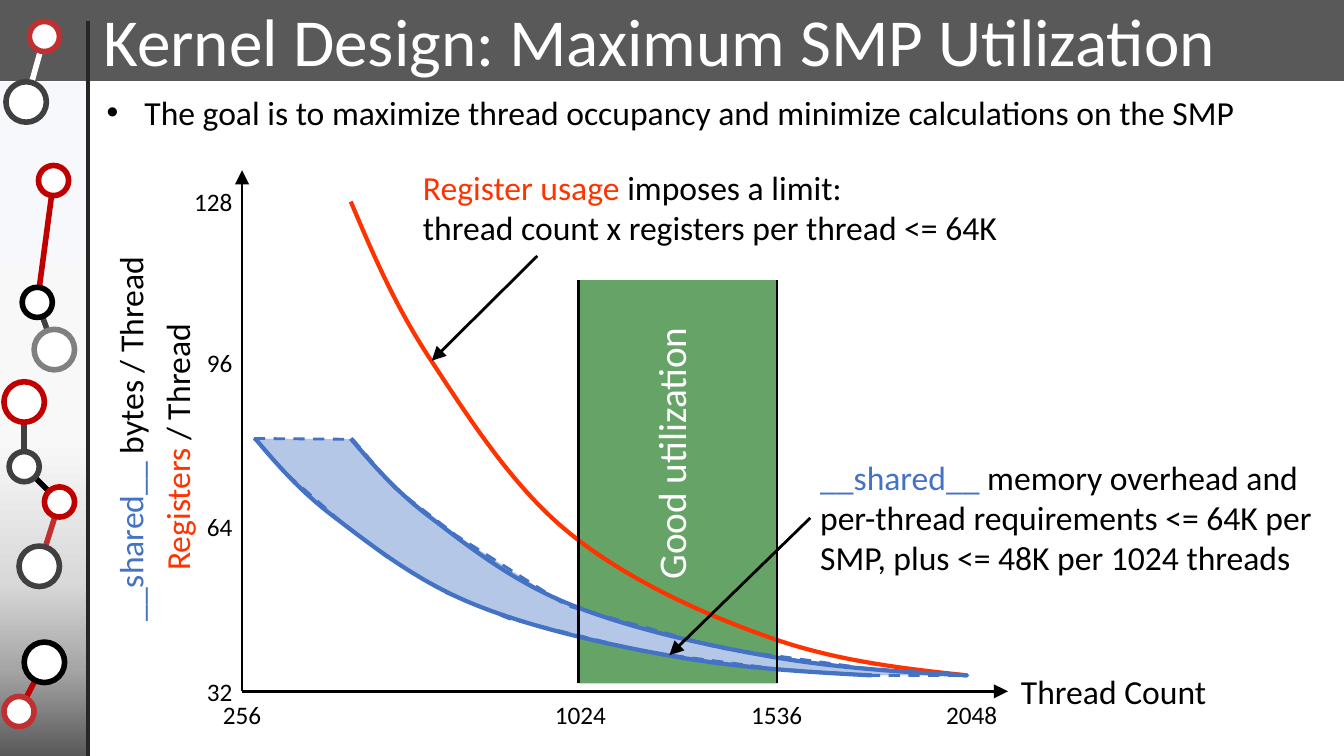
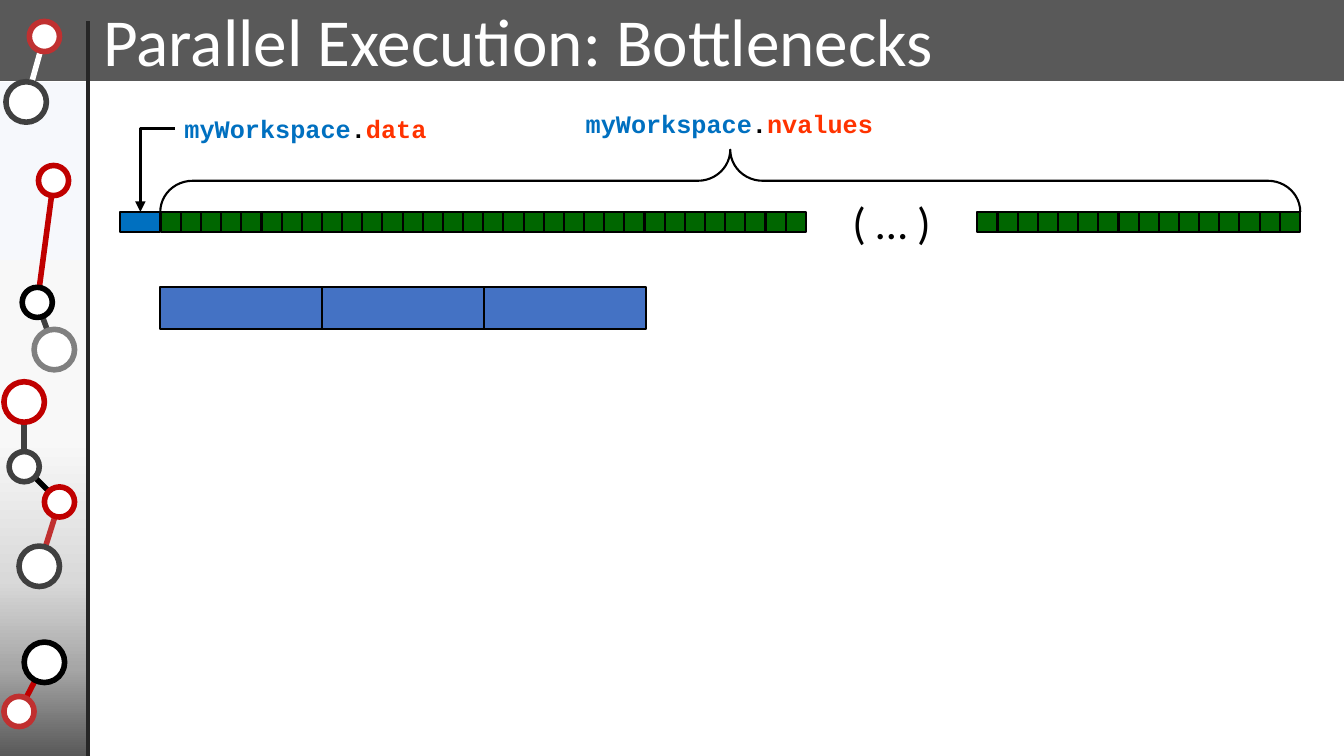
from dataclasses import dataclass

from lxml.etree import SubElement
from pptx import Presentation
from pptx.dml.color import RGBColor
from pptx.enum.dml import MSO_LINE_DASH_STYLE as Dash
from pptx.enum.shapes import MSO_CONNECTOR as Connector, MSO_SHAPE as Preset
from pptx.enum.text import PP_ALIGN as Align
from pptx.oxml.ns import qn
from pptx.util import Cm, Pt

COLORS = {
    "white": "FFFFFF", "black": "000000", "header": "595959", "rule": "262626",
    "crimson": "C00000", "brick": "C03030", "graphite": "404040", "silver": "808080",
    "orange": "FF3300", "blue": "4472C4", "pale_blue": "B4C7E7", "azure": "0070C0",
    "green": "006600",
}
SIDEBAR_STOPS = [(0, "F6F8FC"), (53, "F8F8F8"), (74, "D9D9D9"), (87, "A6A6A6"), (100, "595959")]
SMALL, BIG = 0.76, 1.02
RINGS = [
    (1.12, 0.92, SMALL, "brick"), (0.66, 2.57, BIG, "graphite"),
    (1.35, 4.55, SMALL, "crimson"), (0.94, 7.62, SMALL, "black"),
    (1.37, 8.81, BIG, "silver"), (0.61, 10.13, BIG, "crimson"),
    (0.61, 11.76, SMALL, "graphite"), (1.5, 12.65, SMALL, "crimson"),
    (0.99, 14.27, BIG, "graphite"), (1.12, 16.69, BIG, "black"),
    (0.48, 17.93, SMALL, "brick"),
]
LINKS = [
    (0, 1, "white"), (2, 3, "crimson"), (3, 4, "graphite"), (5, 6, "graphite"),
    (6, 7, "black"), (7, 8, "brick"), (9, 10, "crimson"),
]
DECAY = [
    (0, 0), (0.56, 1.32), (1.12, 2.64), (2.03, 4.01), (2.95, 5.41), (4.06, 7.16),
    (5.46, 8.31), (6.86, 9.47), (8.79, 10.36), (10.46, 10.95), (12.14, 11.56),
    (13.84, 11.76), (15.54, 11.94),
]
SHARED_BAND = [
    (0.3, 6.76), (2.79, 6.78), (3.84, 8), (5.38, 9.19), (8.18, 10.97), (12.04, 12.04),
    (15.85, 12.57), (18.29, 12.73), (15.82, 12.73), (13.49, 12.57), (10.19, 12.14),
    (6.73, 11.3), (5.13, 10.64), (3.63, 9.73), (2.44, 8.81), (1.12, 7.65),
]


@dataclass
class Box:
    left: float
    top: float
    width: float
    height: float

    def inner(self, left, top, width, height):
        return Box(self.left + left, self.top + top, width, height)

    def point(self, x, y):
        return self.left + x, self.top + y

    def turned(self):
        shift = (self.width - self.height) / 2
        return Box(self.left + shift, self.top - shift, self.height, self.width)

    def lengths(self):
        return [Cm(value) for value in (self.left, self.top, self.width, self.height)]


def rgb(name):
    return RGBColor.from_string(COLORS[name])


def paint(shape, fill=None, line=None, weight=1.5):
    shape.shadow.inherit = False
    if fill:
        shape.fill.solid()
        shape.fill.fore_color.rgb = rgb(fill)
    else:
        shape.fill.background()
    if line:
        shape.line.color.rgb = rgb(line)
        shape.line.width = Pt(weight)
    else:
        shape.line.fill.background()
    return shape


def add_preset(page, preset, box, **look):
    return paint(page.shapes.add_shape(preset, *box.lengths()), **look)


def add_outline(page, points, close=False, **look):
    spots = [(Cm(x), Cm(y)) for x, y in points]
    builder = page.shapes.build_freeform(*spots[0])
    builder.add_line_segments(spots[1:], close=close)
    return paint(builder.convert_to_shape(), **look)


def add_line(page, start, end, color="black", weight=2, arrow=None, bent=False):
    kind = Connector.ELBOW if bent else Connector.STRAIGHT
    line = page.shapes.add_connector(kind, *[Cm(value) for value in (*start, *end)])
    line.line.color.rgb = rgb(color)
    line.line.width = Pt(weight)
    props = line._element.spPr
    if bent:
        props.find(qn("a:prstGeom")).set("prst", "bentConnector2")
    if arrow:
        SubElement(props.find(qn("a:ln")), qn("a:tailEnd"), type="triangle", w=arrow, len=arrow)
    SubElement(props, qn("a:effectLst"))


def add_text(page, box, paras, size=24, font="Calibri", bold=False, align=Align.LEFT,
             wrap=False, turn=False, bullet=False):
    holder = page.shapes.add_textbox(*(box.turned() if turn else box).lengths())
    holder.rotation = 270 if turn else 0
    frame = holder.text_frame
    frame.word_wrap = wrap
    for index, spans in enumerate(paras):
        para = frame.add_paragraph() if index else frame.paragraphs[0]
        para.alignment = align
        if bullet:
            para.space_before = Pt(0.2 * size)
            props = para._p.get_or_add_pPr()
            props.set("marL", str(Cm(0.95)))
            props.set("indent", str(-Cm(0.95)))
            SubElement(props, qn("a:buFont"), typeface="Arial")
            SubElement(props, qn("a:buChar"), char="•")
        for text, color in spans:
            span = para.add_run()
            span.text = text
            span.font.size = Pt(size)
            span.font.name = font
            span.font.bold = bold
            span.font.color.rgb = rgb(color)


def add_sidebar(page, box):
    panel = add_preset(page, Preset.RECTANGLE, box.inner(0, 2.06, box.width, box.height - 2.06))
    panel.fill.gradient()
    panel.fill.gradient_angle = 270
    stops = panel._element.spPr.find(".//" + qn("a:gsLst"))
    for stop in list(stops):
        stops.remove(stop)
    for percent, color in SIDEBAR_STOPS:
        stop = SubElement(stops, qn("a:gs"), pos=str(percent * 1000))
        SubElement(stop, qn("a:srgbClr"), val=color)


def add_rings(page, box):
    for first, last, color in LINKS:
        add_line(page, box.point(*RINGS[first][:2]), box.point(*RINGS[last][:2]), color, 4)
    for x, y, size, color in RINGS:
        add_preset(page, Preset.OVAL, box.inner(x - size / 2, y - size / 2, size, size),
                   fill="white", line=color, weight=4)
    add_line(page, box.point(box.width, 0.53), box.point(box.width, box.height), "rule", 3)


def add_frame(page, box, title, title_width):
    side = box.inner(0, 0, 2.21, box.height)
    add_sidebar(page, side)
    add_preset(page, Preset.RECTANGLE, box.inner(0, 0, box.width, 2.03),
               fill="header", line="header", weight=1)
    add_rings(page, side)
    add_text(page, box.inner(2.36, -0.13, title_width, 2.31), [[(title, "white")]], size=48)


def add_decay(page, box, left, top, stretch, color):
    knots = [box.point(left + x, top + y * stretch) for x, y in DECAY]
    curve = add_outline(page, knots, line=color, weight=3)
    track = curve._element.spPr.find(".//" + qn("a:path"))
    steps = track.findall(qn("a:lnTo"))
    for start in range(0, len(steps), 3):
        bend = SubElement(track, qn("a:cubicBezTo"))
        for step in steps[start:start + 3]:
            bend.append(step[0])
            track.remove(step)


def add_axes(page, box):
    origin = box.point(0, box.height)
    add_line(page, origin, box.point(box.width, box.height), arrow="lg")
    add_line(page, origin, box.point(0, 0), arrow="lg")
    for top, label in ((0.28, "128"), (4.34, "96"), (8.46, "64"), (12.62, "32")):
        width = 0.51 + 0.33 * len(label)
        add_text(page, box.inner(0.01 - width, top, width, 1.02), [[(label, "black")]],
                 size=18, align=Align.RIGHT)
    for center, label in ((0, "256"), (8.53, "1024"), (13.47, "1536"), (18.39, "2048")):
        width = 0.51 + 0.33 * len(label)
        add_text(page, box.inner(center - width / 2, 13.21, width, 1.02), [[(label, "black")]],
                 size=18, align=Align.CENTER)
    add_text(page, box.inner(19.38, 12.5, 5.28, 1.27), [[("Thread Count", "black")]], wrap=True)
    add_text(page, box.inner(-3.46, 1.74, 1.27, 9.88),
             [[("__shared__ ", "blue"), ("bytes / Thread", "black")]], wrap=True, turn=True)
    add_text(page, box.inner(-2.28, 3.41, 1.27, 6.93),
             [[("Registers", "orange"), (" / Thread", "black")]], wrap=True, turn=True)


def add_utilization_plot(page, box):
    good = box.inner(8.48, 2.77, 5, 10.16)
    zone = add_preset(page, Preset.RECTANGLE, good, fill="green")
    SubElement(zone._element.spPr.find(".//" + qn("a:srgbClr")), qn("a:alpha"), val="60000")
    band = add_outline(page, [box.point(*spot) for spot in SHARED_BAND], close=True,
                       fill="pale_blue", line="blue", weight=2)
    band.line.dash_style = Dash.DASH
    add_axes(page, box)
    add_decay(page, box, 2.74, 0.79, 1, "orange")
    for left in (2.74, 0.33):
        add_decay(page, box, left, 6.76, 0.5, "blue")
    add_text(page, box.inner(4.31, -0.21, 15.06, 2.31), [
        [("Register usage ", "orange"), ("imposes a limit:", "black")],
        [("thread count x registers per thread <= 64K", "black")]], wrap=True)
    add_line(page, box.point(7.44, 2.16), box.point(4.78, 4.8), arrow="lg")
    add_text(page, box.inner(14.32, 7.09, 13.21, 3.33), [[
        ("__shared__ ", "blue"),
        ("memory overhead and per-thread requirements <= 64K per SMP, "
         "plus <= 48K per 1024 threads", "black")]], wrap=True)
    add_line(page, box.point(14.32, 8.76), box.point(10.77, 12.22), arrow="lg")
    for x in (good.width, 0):
        add_line(page, good.point(x, good.height), good.point(x, 0))
    add_text(page, box.inner(10.08, 3.63, 1.45, 6.93), [[("Good utilization", "white")]],
             size=28, turn=True)


def add_cells(page, box, count, color):
    width = box.width / count
    for index in range(count):
        add_preset(page, Preset.RECTANGLE, box.inner(index * width, 0, width, box.height),
                   fill=color, line="black")


def add_memory_strip(page, box):
    for left, top, width, height, count, color in (
            (1.03, 0, 16.26, 0.51, 32, "green"), (21.61, 0, 8.13, 0.51, 16, "green"),
            (0, 0, 1.02, 0.51, 1, "azure"), (1.02, 1.89, 12.24, 1.07, 3, "blue")):
        add_cells(page, box.inner(left, top, width, height), count, color)
    add_text(page, box.inner(18.21, -0.56, 2.51, 1.63), [[("( … )", "black")]], size=32)
    for left, top, width, field in ((1.38, -2.61, 6.63, "data"), (11.49, -2.74, 7.8, "nvalues")):
        add_text(page, box.inner(left, top, width, 1.02),
                 [[("myWorkspace", "azure"), (".", "black"), (field, "orange")]],
                 size=18, font="Courier New", bold=True)
    add_line(page, box.point(1.38, -2.1), box.point(0.52, 0), weight=2.5, arrow="med", bent=True)
    brace = add_preset(page, Preset.RIGHT_BRACE, box.inner(1.02, -1.57, 28.73, 1.57).turned(),
                       line="black")
    brace.rotation = 270
    brace.adjustments[0] = 0.52
    brace.adjustments[1] = 0.5


def utilization_slide(page, box):
    add_frame(page, box, "Kernel Design: Maximum SMP Utilization", 28.85)
    add_text(page, box.inner(2.44, 2.18, 30.2, 1.3), [[(
        "The goal is to maximize thread occupancy and minimize calculations on the SMP",
        "black")]], wrap=True, bullet=True)
    add_utilization_plot(page, box.inner(6.1, 4.29, 19.3, 13.13))


def bottleneck_slide(page, box):
    add_frame(page, box, "Parallel Execution: Bottlenecks", 21.69)
    add_memory_strip(page, box.inner(3.02, 5.34, 29.75, 2.96))


def main():
    deck = Presentation()
    area = Box(0, 0, 33.87, 19.05)
    deck.slide_width, deck.slide_height = Cm(area.width), Cm(area.height)
    for build in (utilization_slide, bottleneck_slide):
        build(deck.slides.add_slide(deck.slide_layouts[6]), area)
    deck.save("out.pptx")


if __name__ == "__main__":
    main()
